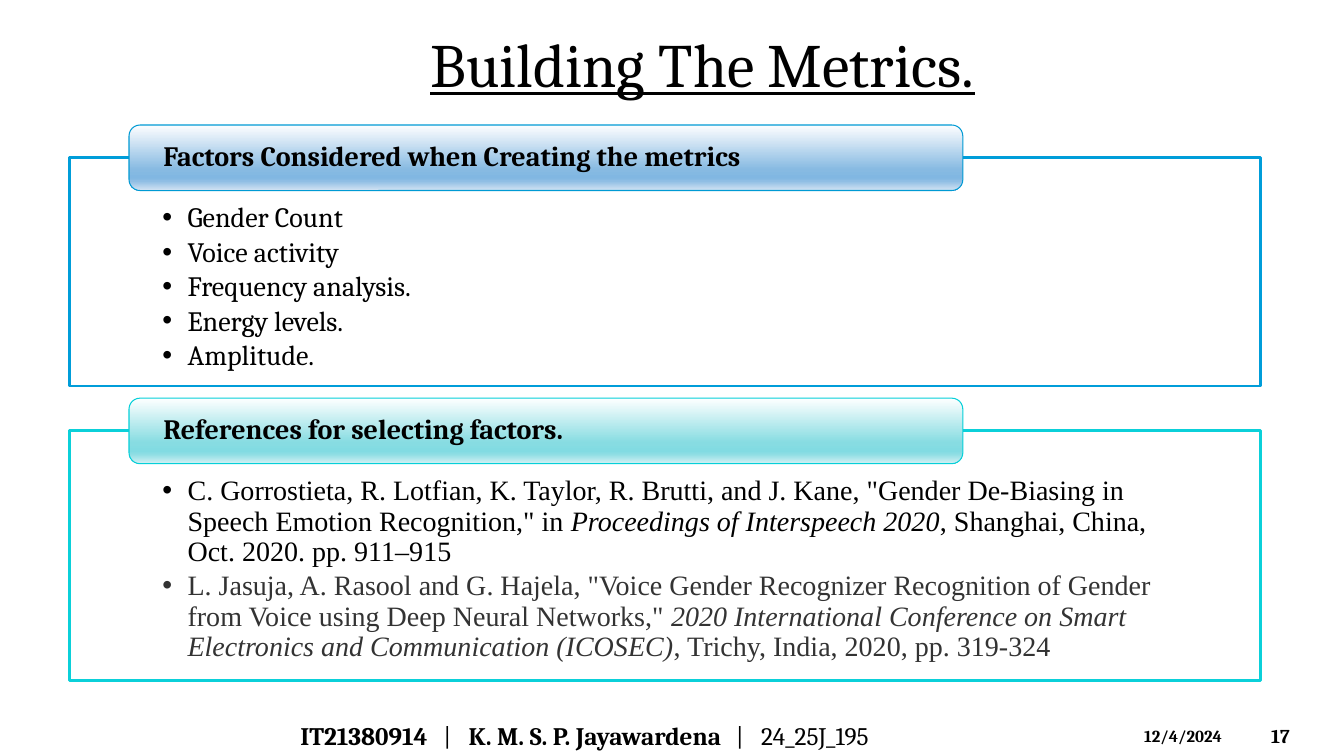
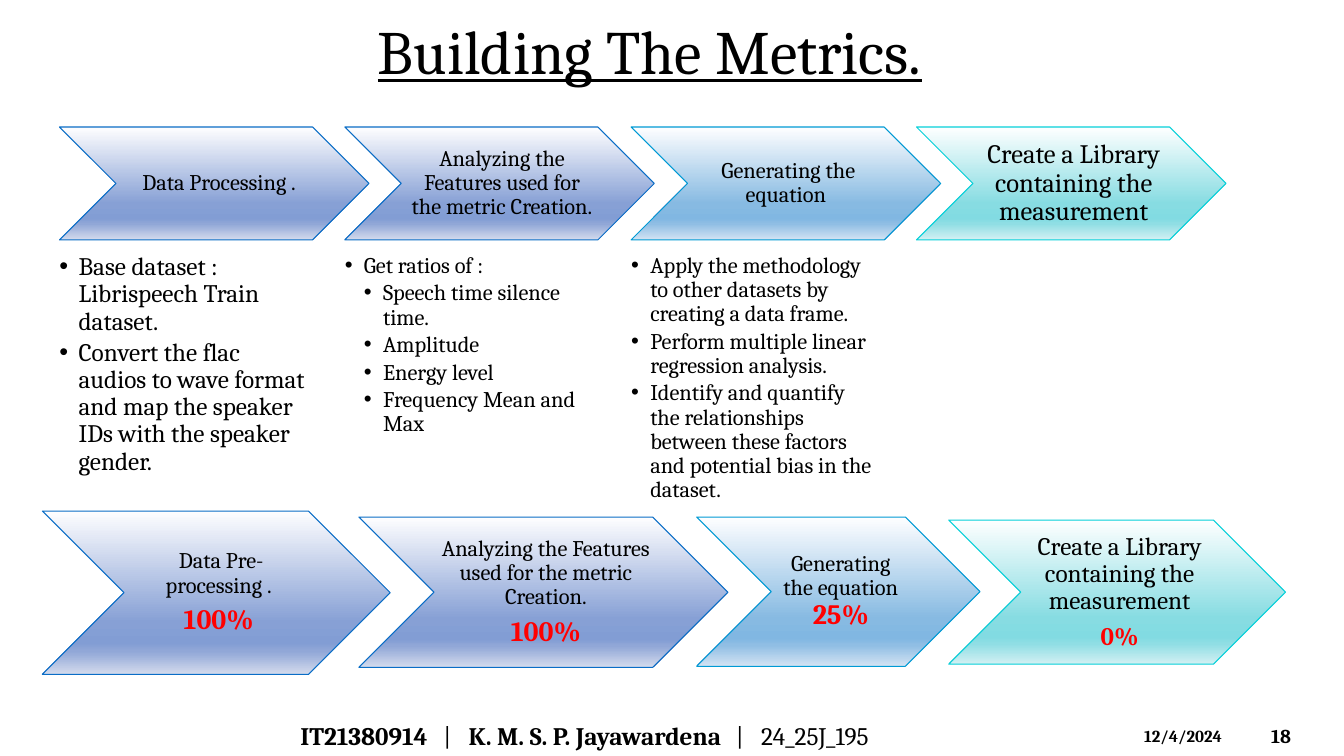
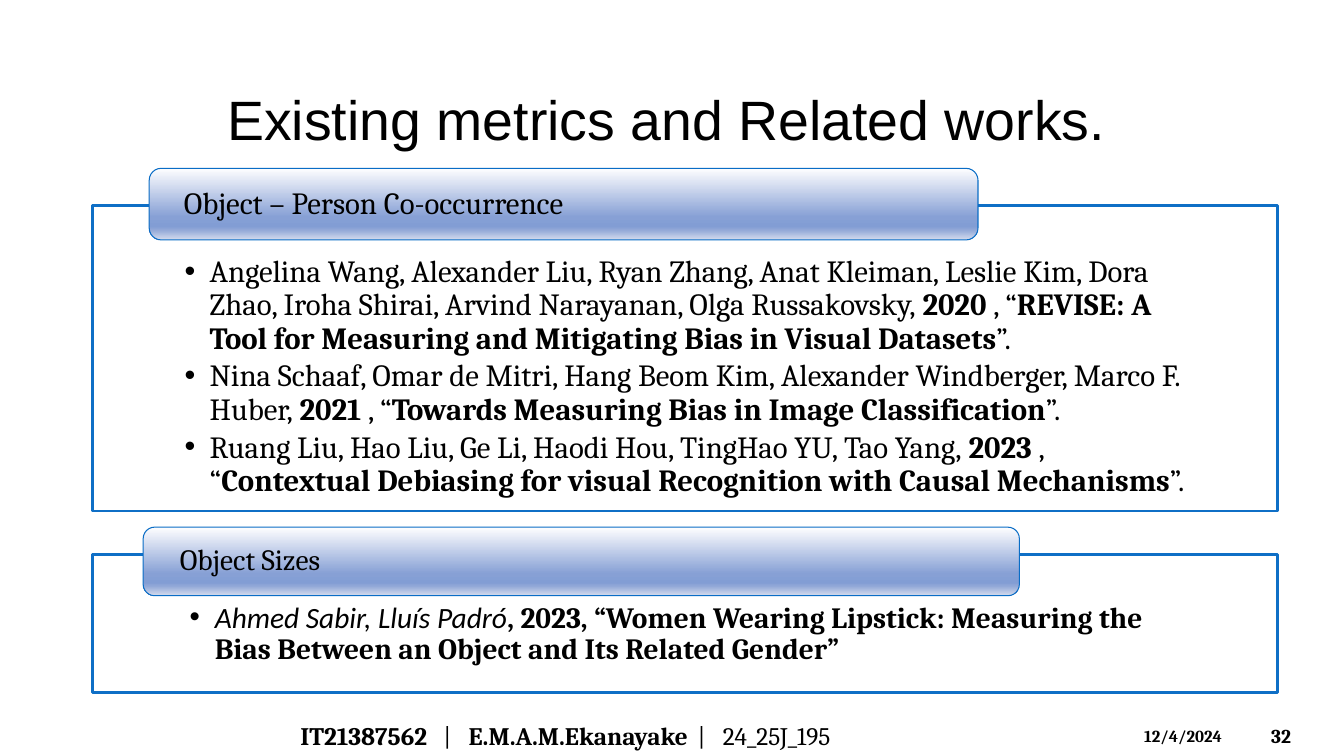
import collections

import pptx
import pptx.dml.color
import pptx.enum.shapes
import pptx.enum.text
import pptx.oxml.ns
import pptx.util
from lxml import etree

SCALE = 9144
SHAPES = pptx.enum.shapes.MSO_SHAPE
ALIGN = pptx.enum.text.PP_ALIGN
ANCHOR = pptx.enum.text.MSO_ANCHOR
Tone = collections.namedtuple("Tone", "frame edge stops")

BOLD = {"bold": True}
ITALIC = {"italic": True}
RED = {"color": "FF0000", "bold": True}


def px(length):
    return pptx.util.Emu(length * SCALE)


def color(value):
    return pptx.dml.color.RGBColor.from_string(value)


def add_element(parent, tag, **values):
    element = etree.SubElement(parent, pptx.oxml.ns.qn(tag))
    for name, value in values.items():
        element.set(name, str(value))
    return element


class Slides:
    base = {"name": "Cambria", "size": 20, "color": "000000", "bold": False}
    tones = {
        "blue": Tone("0F6FC6", "0A6DC6", ["FEFEFF", "87A0D5", "829DD4", "91A7D7", "D4DBED"]),
        "sky": Tone("009DD9", "009AD4", ["FEFEFF", "87BAE2", "81B7E2", "90BEE4", "D3E3F3"]),
        "aqua": Tone("0BD0D9", "06D0D9", ["FEFFFF", "87DCE2", "82DBE2", "90DEE4", "D3F0F3"]),
    }
    stop_places = [0, 68, 81, 86, 100]

    def __init__(self):
        self.deck = pptx.Presentation()
        self.deck.slide_width = px(1333)
        self.deck.slide_height = px(750)
        self.page = None

    def start(self, number, author, name, name_end):
        self.page = self.deck.slides.add_slide(self.deck.slide_layouts[6])
        self.text((1251, 710, 74, 40), [number], {"size": 14, "bold": True}, anchor=ANCHOR.MIDDLE)
        self.text((1125, 715, 117, 30), ["12/4/2024"], {"size": 12, "bold": True})
        spans = [(author, BOLD), "\t|\t", (name, BOLD), "\t|\t24_25J_195"]
        self.text((288, 710, 745, 40), [spans], {"size": 18}, anchor=ANCHOR.MIDDLE,
                  tabs=[142, 167, name_end, name_end + 25])

    def fill_text(self, shape, paragraphs, style, insets=(10, 5, 10, 5), anchor=ANCHOR.TOP,
                  align=ALIGN.LEFT, indent=0, levels=None, tabs=(), spacing=1.0, after=0):
        frame = shape.text_frame
        frame.word_wrap = True
        frame.vertical_anchor = anchor
        for side, inset in zip(("left", "top", "right", "bottom"), insets):
            setattr(frame, "margin_" + side, px(inset))
        style = {**self.base, **style}
        for index, spans in enumerate(paragraphs):
            para = frame.add_paragraph() if index else frame.paragraphs[0]
            properties = para._p.get_or_add_pPr()
            if indent:
                level = levels[index] if levels else 1
                properties.set("marL", str(px(indent * level)))
                properties.set("indent", str(px(-indent)))
                add_element(properties, "a:buFont", typeface="Arial")
                add_element(properties, "a:buChar", char="•")
            if tabs:
                stops = add_element(properties, "a:tabLst")
                for stop in tabs:
                    add_element(stops, "a:tab", pos=px(stop), algn="l")
            para.alignment = align
            para.line_spacing = spacing
            if index < len(paragraphs) - 1:
                para.space_after = pptx.util.Pt(round(style["size"] * after, 1))
            for item in [spans] if isinstance(spans, str) else spans:
                words, changes = (item, {}) if isinstance(item, str) else item
                span = para.add_run()
                span.text = words
                for key, value in {**style, **changes}.items():
                    if key == "color":
                        span.font.color.rgb = color(value)
                    else:
                        setattr(span.font, key, pptx.util.Pt(value) if key == "size" else value)

    def text(self, place, paragraphs, style, **layout):
        box = self.page.shapes.add_textbox(*map(px, place))
        self.fill_text(box, paragraphs, style, **layout)

    def title(self, place, words, **style):
        self.text(place, [words], {"size": 44, "underline": True, **style})

    def shape(self, kind, place, line, weight):
        shape = self.page.shapes.add_shape(kind, *map(px, place))
        shape.shadow.inherit = False
        shape.line.color.rgb = color(line)
        shape.line.width = pptx.util.Pt(weight)
        return shape

    def glossy(self, kind, place, tone):
        shape = self.shape(kind, place, self.tones[tone].edge, 0.75)
        shape.fill.gradient()
        shape.fill.gradient_angle = 270
        stops = shape.element.spPr.find(pptx.oxml.ns.qn("a:gradFill")).find(pptx.oxml.ns.qn("a:gsLst"))
        for stop in list(stops):
            stops.remove(stop)
        for position, value in zip(self.stop_places, self.tones[tone].stops):
            stop = add_element(stops, "a:gs", pos=position * 1000)
            add_element(stop, "a:srgbClr", val=value)
        return shape

    def panel(self, place, tone, paragraphs, style, insets):
        frame = self.shape(SHAPES.RECTANGLE, place, self.tones[tone].frame, 2)
        frame.fill.solid()
        frame.fill.fore_color.rgb = color("FFFFFF")
        self.fill_text(frame, paragraphs, style, insets=insets, indent=25, spacing=0.9, after=0.15)

    def header(self, place, tone, words, inset=31, **style):
        bar = self.glossy(SHAPES.ROUNDED_RECTANGLE, place, tone)
        self.fill_text(bar, [words], style, insets=(inset, 0, inset, 0), anchor=ANCHOR.MIDDLE, spacing=0.9)

    def chevron(self, place, tone, paragraphs, size):
        arrow = self.glossy(SHAPES.CHEVRON, place, tone)
        self.fill_text(arrow, paragraphs, {"size": size}, insets=(7, 2, 2, 2), anchor=ANCHOR.MIDDLE,
                       align=ALIGN.CENTER, spacing=0.9, after=0.35)

    def bullets(self, place, paragraphs, size, levels=None):
        self.text(place, paragraphs, {"size": size}, insets=(0, 0, 0, 0), indent=19,
                  levels=levels, spacing=0.9, after=0.15)


def build_factors(slides):
    slides.start("17", "IT21380914", "K. M. S. P. Jayawardena", 432)
    factors = ["Gender Count", "Voice activity", "Frequency analysis.", "Energy levels.", "Amplitude."]
    gray = {"color": "333333"}
    references = [
        ['C. Gorrostieta, R. Lotfian, K. Taylor, R. Brutti, and J. Kane, "Gender De-Biasing in '
         'Speech Emotion Recognition," in ',
         ("Proceedings of Interspeech 2020", ITALIC),
         ", Shanghai, China, Oct. 2020. pp. 911–915"],
        [('L. Jasuja, A. Rasool and G. Hajela, "Voice Gender Recognizer Recognition of Gender '
          'from Voice using Deep Neural Networks," ', gray),
         ("2020 International Conference on Smart Electronics and Communication (ICOSEC)",
          {**gray, **ITALIC}),
         (", Trichy, India, 2020, pp. 319-324", gray)],
    ]
    for top, height, tone, words, paragraphs, style in [
        (156, 227, "sky", "Factors Considered when Creating the metrics", factors, {}),
        (427, 248, "aqua", "References for selecting factors.", references, {"name": "Times New Roman"}),
    ]:
        slides.panel((69, top, 1181, height), tone, paragraphs, style, (92, 46, 92, 16))
        slides.header((128, top - 32, 827, 65), tone, words, bold=True)
    slides.title((417, 21, 667, 84), "Building The Metrics.")


def build_steps(slides):
    slides.start("18", "IT21380914", "K. M. S. P. Jayawardena", 432)
    slides.title((365, 8, 604, 84), "Building The Metrics.")
    analyzing = "Analyzing the Features used for the metric Creation."
    generating = "Generating the equation "
    library = "Create a Library containing the measurement"
    steps = [
        ("blue", " Data Processing .", 16, 18,
         ["Base dataset : Librispeech Train dataset.",
          "Convert the flac audios to wave format and map the speaker IDs with the speaker gender."], None),
        ("blue", analyzing, 16, 16,
         ["Get ratios of :", "Speech time silence time.", "Amplitude", "Energy level",
          "Frequency Mean and Max"], [1, 2, 2, 2, 2]),
        ("sky", generating, 16, 16,
         ["Apply the methodology to other datasets by creating a data frame.",
          "Perform multiple linear regression analysis.",
          "Identify and quantify the relationships between these factors and potential bias in the "
          "dataset."], None),
        ("aqua", library, 19, 16, [], None),
    ]
    for index, (tone, words, size, detail_size, details, levels) in enumerate(steps):
        left = round(59 + index * 850 / 3)
        slides.chevron((left, 126, 307, 112), tone, [words], size)
        if details:
            slides.bullets((left, 252, 246, 247), details, detail_size, levels)
    done = [("100%", {**RED, "size": 20})]
    for place, tone, paragraphs, size in [
        ((42, 507, 345, 162), "blue", [" Data Pre-processing .", done], 16),
        ((356, 513, 366, 149), "blue", [analyzing, done], 16),
        ((691, 513, 281, 148), "sky", [[generating, ("25%", {**RED, "size": 20})]], 16),
        ((941, 516, 334, 143), "aqua", [library, [("0%", RED)]], 18),
    ]:
        slides.chevron(place, tone, paragraphs, size)


def build_related(slides):
    slides.start("32", "IT21387562", "E.M.A.M.Ekanayake", 394)
    slides.text((22, 70, 1278, 95), ["Existing metrics and Related works."],
                {"name": "Arial", "size": 39.6}, anchor=ANCHOR.MIDDLE, align=ALIGN.CENTER)
    papers = [
        ("Angelina Wang, Alexander Liu, Ryan Zhang, Anat Kleiman, Leslie Kim, Dora Zhao, "
         "Iroha Shirai, Arvind Narayanan, Olga Russakovsky,", " 2020 ",
         "REVISE: A Tool for Measuring and Mitigating Bias in Visual Datasets"),
        ("Nina Schaaf, Omar de Mitri, Hang Beom Kim, Alexander Windberger, Marco F. Huber,", " 2021 ",
         "Towards Measuring Bias in Image Classification"),
        ("Ruang Liu, Hao Liu, Ge Li, Haodi Hou, TingHao YU, Tao Yang,", " 2023 ",
         "Contextual Debiasing for visual Recognition with Causal Mechanisms"),
    ]
    co_occurrence = [[authors, (year, BOLD), ", “", (paper, BOLD), "”."] for authors, year, paper in papers]
    sizes = [[("Ahmed Sabir, Lluís Padró", {"name": "Calibri", **ITALIC}),
              (", 2023, “Women Wearing Lipstick: Measuring the Bias Between an Object and Its "
               "Related Gender”", BOLD)]]
    slides.panel((92, 204, 1175, 303), "blue", co_occurrence, {"size": 22}, (91, 50, 91, 17))
    slides.header((148, 167, 822, 71), "blue", "Object – Person Co-occurrence", size=22)
    slides.panel((92, 550, 1175, 137), "blue", sizes, {"size": 21}, (96, 48, 96, 16))
    slides.header((142, 523, 869, 68), "blue", "Object Sizes", inset=33, size=21)


def main():
    slides = Slides()
    for build in (build_factors, build_steps, build_related):
        build(slides)
    slides.deck.save("out.pptx")


if __name__ == "__main__":
    main()
